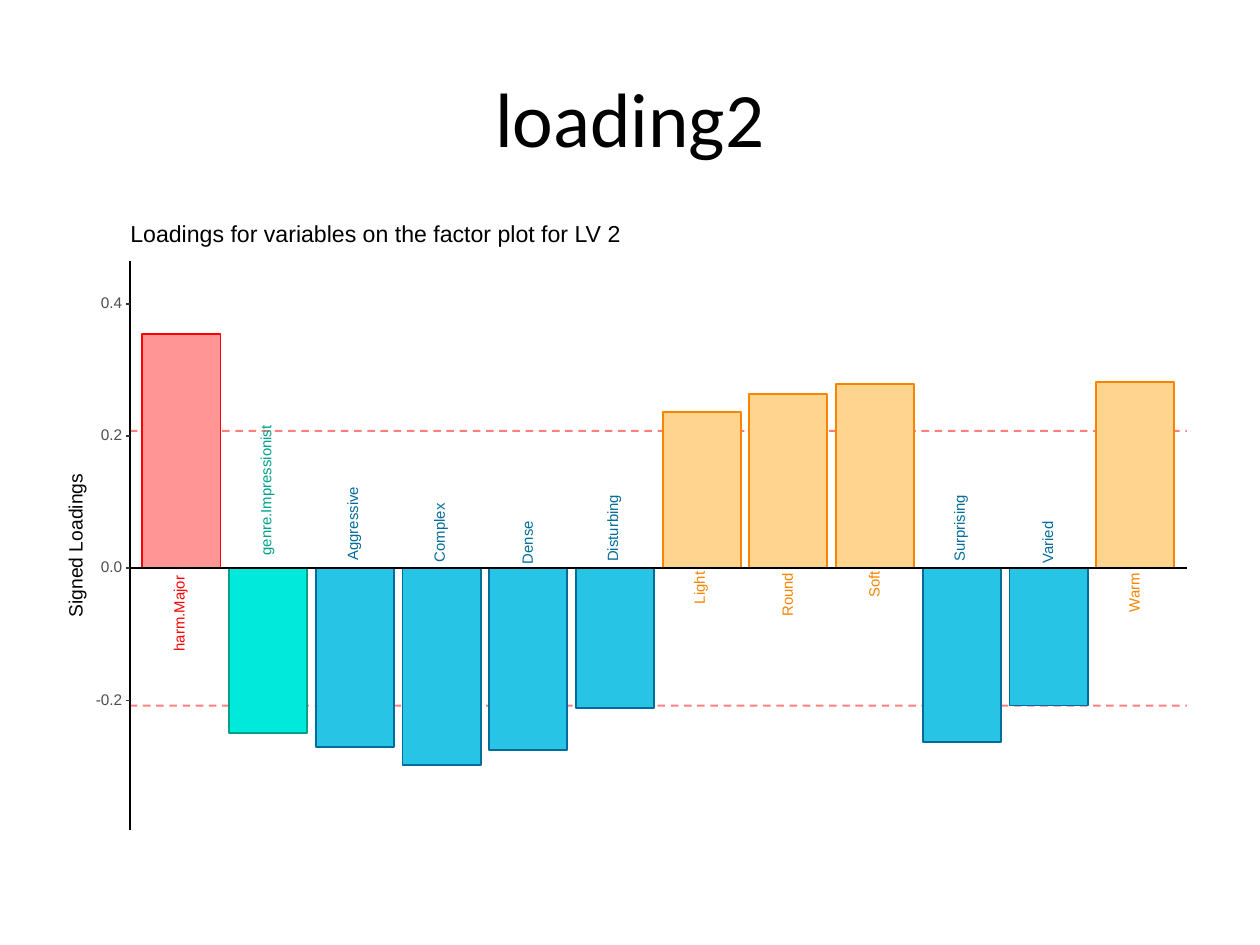
from lxml import etree
from pptx import Presentation
from pptx.dml.color import RGBColor
from pptx.enum.dml import MSO_LINE
from pptx.enum.shapes import MSO_CONNECTOR, MSO_SHAPE
from pptx.enum.text import MSO_ANCHOR, PP_ALIGN
from pptx.oxml.ns import qn
from pptx.util import Inches, Pt

RECTANGLE = MSO_SHAPE.RECTANGLE
STRAIGHT = MSO_CONNECTOR.STRAIGHT
DASH = MSO_LINE.DASH
MIDDLE = MSO_ANCHOR.MIDDLE
CENTER = PP_ALIGN.CENTER

# Plot grid, in inches
AXIS_X, RIGHT = 1.03, 9.42
TOP, BOTTOM = 2.07, 6.59
ZERO_Y = 4.51
TICK_STEP = 1.05
THRESHOLD = 1.09
FIRST_BAR, BAR_WIDTH = 1.13, 0.62
BAR_PITCH = (8.7 - FIRST_BAR) / 11
LABEL_SHIFT = 0.6  # distance of a label from the zero line, per label length
TEXT_SLACK = 0.04  # spare width that keeps each text on one line
LINE_WIDTH = 1.07

# Fill and outline of each group of variables
RED = ("FF9595", "FF0000")
GREEN = ("00E9DA", "00A08A")
BLUE = ("27C4E5", "046C9A")
ORANGE = ("FFD48E", "F98400")

# Variable, signed bar height, label length, colours
BARS = [
    ("harm.Major", 1.86, 0.6, RED),
    ("genre.Impressionist", -1.31, 1.03, GREEN),
    ("Aggressive", -1.42, 0.59, BLUE),
    ("Complex", -1.56, 0.47, BLUE),
    ("Dense", -1.44, 0.34, BLUE),
    ("Disturbing", -1.11, 0.53, BLUE),
    ("Light", 1.24, 0.26, ORANGE),
    ("Round", 1.38, 0.35, ORANGE),
    ("Soft", 1.46, 0.21, ORANGE),
    ("Surprising", -1.38, 0.53, BLUE),
    ("Varied", -1.09, 0.34, BLUE),
    ("Warm", 1.48, 0.32, ORANGE),
]

# Tick label, steps above zero, label width
TICKS = [("-0.2", -1, 0.21), ("0.0", 0, 0.17), ("0.2", 1, 0.17), ("0.4", 2, 0.17)]


def color(value):
    return RGBColor.from_string(value)


def add_box(plot, left, top, width, height, fill, outline):
    box = plot.shapes.add_shape(
        RECTANGLE, Inches(left), Inches(top), Inches(width), Inches(height))
    box.shadow.inherit = False
    box.fill.solid()
    box.fill.fore_color.rgb = color(fill)
    box.line.color.rgb = color(outline)
    box.line.width = Pt(LINE_WIDTH)


def add_line(plot, x1, y1, x2, y2, stroke="000000"):
    line = plot.shapes.add_connector(
        STRAIGHT, Inches(x1), Inches(y1), Inches(x2), Inches(y2))
    line.line.color.rgb = color(stroke)
    line.line.width = Pt(LINE_WIDTH)
    etree.SubElement(line._element.spPr, qn("a:effectLst"))
    return line


def add_threshold(plot, y):
    line = add_line(plot, AXIS_X, y, RIGHT, y, "FF0000")
    line.line.dash_style = DASH
    tint = line._element.spPr.find(".//" + qn("a:srgbClr"))
    etree.SubElement(tint, qn("a:alpha")).set("val", "50000")


def add_text(plot, text, center_x, center_y, width, height, size, ink, rotation=0):
    width += TEXT_SLACK
    box = plot.shapes.add_textbox(
        Inches(center_x - width / 2), Inches(center_y - height / 2),
        Inches(width), Inches(height))
    box.rotation = rotation
    frame = box.text_frame
    frame.margin_left = frame.margin_right = 0
    frame.margin_top = frame.margin_bottom = 0
    frame.vertical_anchor = MIDDLE
    frame.word_wrap = False
    para = frame.paragraphs[0]
    para.alignment = CENTER
    para.line_spacing = Pt(size)
    span = para.add_run()
    span.text = text
    span.font.size = Pt(size)
    span.font.name = "Arial"
    span.font.color.rgb = color(ink)


def add_title(page, text):
    title = page.shapes.title
    title.left, title.top = Inches(0.5), Inches(0.3)
    title.width, title.height = Inches(9), Inches(1.25)
    title.text_frame.vertical_anchor = MIDDLE
    para = title.text_frame.paragraphs[0]
    para.alignment = CENTER
    span = para.add_run()
    span.text = text
    span.font.size = Pt(44)
    span.font.name = "Calibri"
    span.font.color.rgb = color("000000")


def add_bars(plot):
    for index, (name, height, length, (fill, outline)) in enumerate(BARS):
        left = FIRST_BAR + index * BAR_PITCH
        add_box(plot, left, ZERO_Y - max(height, 0), BAR_WIDTH, abs(height),
                fill, outline)


def add_bar_labels(plot):
    for index, (name, height, length, (fill, outline)) in enumerate(BARS):
        center_x = FIRST_BAR + index * BAR_PITCH + BAR_WIDTH / 2
        side = 1 if height > 0 else -1
        # Letters below the baseline make the label taller
        thickness = 0.09
        if any(letter in "gjpy" for letter in name):
            thickness = 0.11
            center_x -= 0.01
        add_text(plot, name, center_x, ZERO_Y + side * LABEL_SHIFT * length,
                 length, thickness, 8.5, outline, 270)


def add_axes(plot):
    add_line(plot, AXIS_X, ZERO_Y, RIGHT, ZERO_Y)
    add_line(plot, AXIS_X, BOTTOM, AXIS_X, TOP)
    for label, steps, width in TICKS:
        y = ZERO_Y - steps * TICK_STEP
        add_text(plot, label, 0.97 - width / 2, y, width, 0.09, 8.8, "4D4D4D")
        add_line(plot, 1, y, AXIS_X, y, "333333")


def main():
    deck = Presentation()
    deck.slide_width, deck.slide_height = Inches(10), Inches(7.5)
    page = deck.slides.add_slide(deck.slide_layouts[5])
    add_title(page, "loading2")

    # Plot panel, thresholds and bars
    plot = page.shapes.add_group_shape()
    add_box(plot, 0.5, 1.75, 9, 4.95, "FFFFFF", "FFFFFF")
    for offset in (-THRESHOLD, THRESHOLD):
        add_threshold(plot, ZERO_Y + offset)
    add_bars(plot)
    add_bar_labels(plot)

    # Axes and headings
    add_axes(plot)
    add_text(plot, "Signed Loadings", 0.61, 4.33, 1.14, 0.14, 11, "000000", 270)
    add_text(plot, "Loadings for variables on the factor plot for LV 2",
             AXIS_X + 1.95, 1.87, 3.9, 0.17, 13.2, "000000")

    deck.save("out.pptx")


main()
